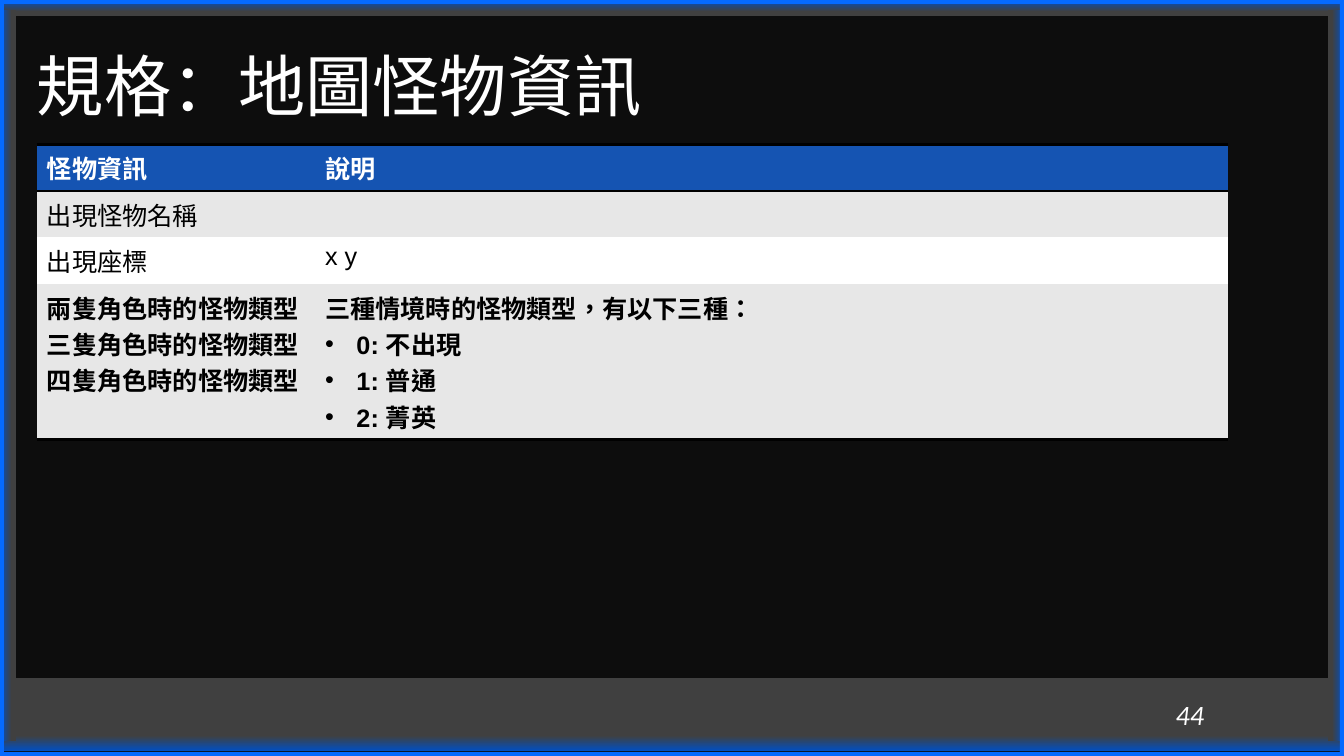
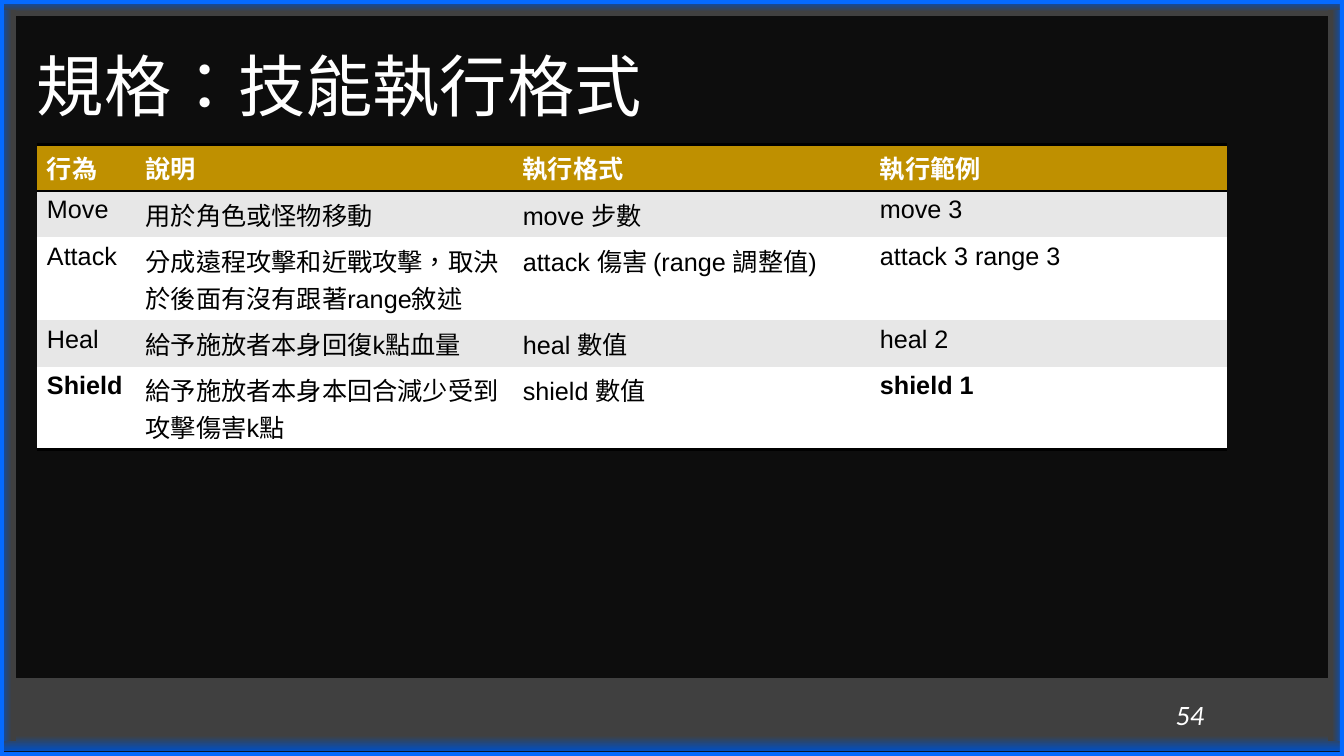
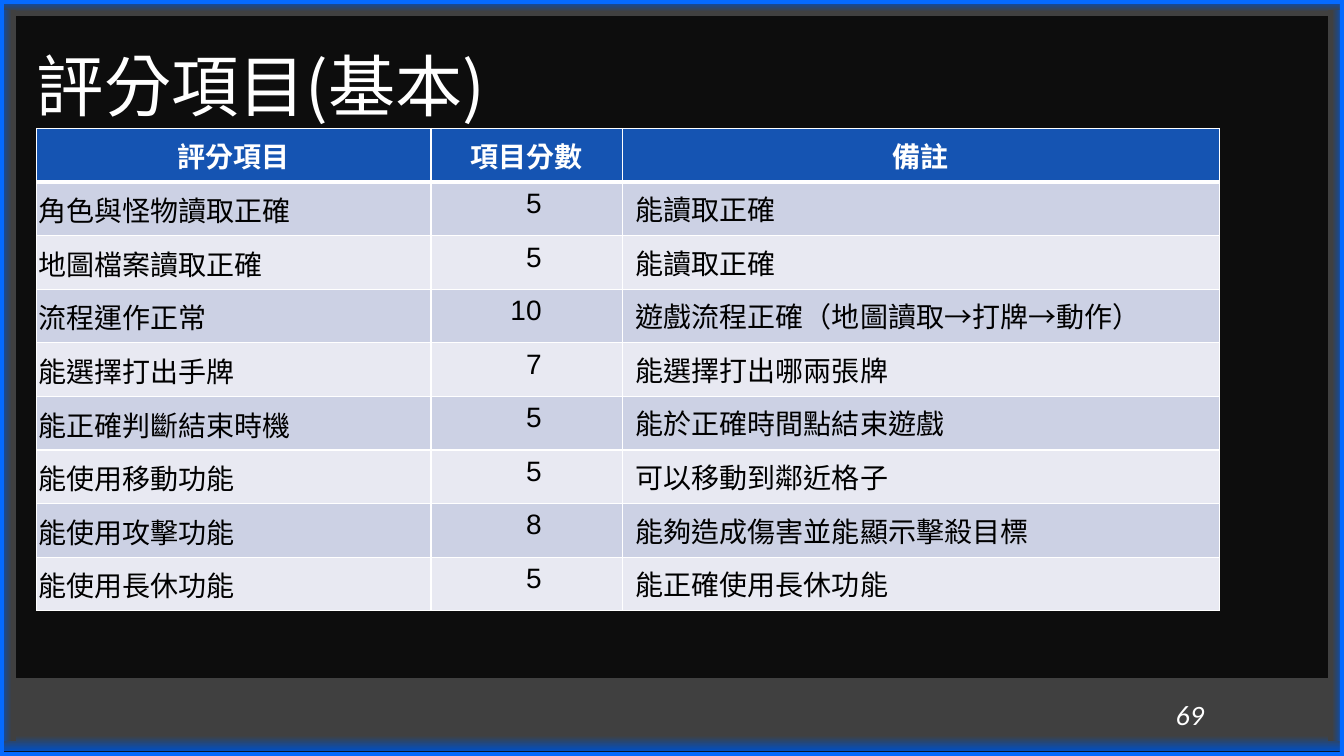
from lxml.etree import SubElement
from pptx import Presentation
from pptx.dml.color import RGBColor
from pptx.enum.lang import MSO_LANGUAGE_ID as Language
from pptx.enum.shapes import MSO_SHAPE as Shape
from pptx.enum.text import MSO_ANCHOR as Anchor, PP_ALIGN as Align
from pptx.oxml.ns import qn
from pptx.util import Cm, Pt

COLOURS = {
    "background": "0D0D0D", "glow": "004FC3", "band": "404040", "frame": "056AFF",
    "white": "FFFFFF", "black": "000000", "blue": "1554B2", "gold": "BF9000",
    "grey": "E7E7E7", "lavender": "CCD1E4", "mist": "E8E9F2",
}
CJK_FONT = "Noto Sans CJK SC"
NO_GRID_STYLE = "{2D5ABB26-0587-4C30-8999-92F81FD0307C}"
WIDTH, HEIGHT = 33.87, 19.05
FRAME_WIDTH = 0.1
LEFT = 0.93
LINE_HEIGHT = 0.92

# left, top, width, height, end of the glow, direction of the glow
BANDS = [
    (0, 17.08, WIDTH, 1.85, 0.21, 90),
    (0, 0, WIDTH, 0.41, 0.72, 270),
    (0, 0.25, 0.41, 18.42, 0.72, 0),
    (33.46, 0.25, 0.41, 18.42, 0.72, 180),
]

# side: colour and width in points
BLACK_RULES = {
    "header": {"T": ("black", 2), "B": ("black", 2)},
    "body": {},
    "last": {"B": ("black", 2)},
}
WHITE_LINE = ("white", 1)
WHITE_ROW = {"L": WHITE_LINE, "R": WHITE_LINE, "B": WHITE_LINE}
WHITE_GRID = {
    "header": {"L": WHITE_LINE, "R": WHITE_LINE, "T": WHITE_LINE, "B": ("white", 3)},
    "body": WHITE_ROW,
    "last": WHITE_ROW,
}

SLIDES = [
    {
        "number": "44", "title": "規格：地圖怪物資訊",
        "title_language": Language.SIMPLIFIED_CHINESE,
        "top": 3.64, "columns": [7.01, 23.01], "row_height": 1.17, "size": 18,
        "header": "blue", "stripes": ["grey", "white"], "borders": BLACK_RULES,
        "bold": {(3, 0), (3, 1)}, "line_counts": [1, 1, 1, 4],
        "rows": [
            ["怪物資訊", "說明"],
            ["出現怪物名稱", ""],
            ["出現座標", "x y"],
            ["兩隻角色時的怪物類型\v三隻角色時的怪物類型\v四隻角色時的怪物類型",
             "三種情境時的怪物類型，有以下三種：\n0: 不出現\n1: 普通\n2: 菁英"],
        ],
    },
    {
        "number": "54", "title": "規格：技能執行格式",
        "title_language": Language.TRADITIONAL_CHINESE,
        "top": 3.64, "columns": [2.49, 9.5, 9, 9], "row_height": 1.17, "size": 18,
        "header": "gold", "stripes": ["grey", "white"], "borders": BLACK_RULES,
        "bold": {(4, 0), (4, 3)}, "line_counts": [1, 1, 2, 1, 2],
        "rows": [
            ["行為", "說明", "執行格式", "執行範例"],
            ["Move", "用於角色或怪物移動", "move 步數", "move 3"],
            ["Attack", "分成遠程攻擊和近戰攻擊，取決於後面有沒有跟著range敘述",
             "attack 傷害 (range 調整值)", "attack 3 range 3"],
            ["Heal", "給予施放者本身回復k點血量", "heal 數值", "heal 2"],
            ["Shield", "給予施放者本身本回合減少受到攻擊傷害k點", "shield 數值", "shield 1"],
        ],
    },
    {
        "number": "69", "title": "評分項目(基本)",
        "title_language": Language.TRADITIONAL_CHINESE,
        "top": 3.24, "columns": [9.93, 4.83, 15.04], "row_height": 1.35, "size": 20,
        "header": "blue", "stripes": ["lavender", "mist"], "borders": WHITE_GRID,
        "bold": set(), "line_counts": [1] * 9,
        "rows": [
            ["評分項目", "項目分數", "備註"],
            ["角色與怪物讀取正確", "5", "能讀取正確"],
            ["地圖檔案讀取正確", "5", "能讀取正確"],
            ["流程運作正常", "10", "遊戲流程正確（地圖讀取→打牌→動作）"],
            ["能選擇打出手牌", "7", "能選擇打出哪兩張牌"],
            ["能正確判斷結束時機", "5", "能於正確時間點結束遊戲"],
            ["能使用移動功能", "5", "可以移動到鄰近格子"],
            ["能使用攻擊功能", "8", "能夠造成傷害並能顯示擊殺目標"],
            ["能使用長休功能", "5", "能正確使用長休功能"],
        ],
    },
]


def rgb(name):
    return RGBColor.from_string(COLOURS[name])


def style_text(text_frame, font_name, size, colour, bold=False, italic=False,
               language=Language.TRADITIONAL_CHINESE):
    """Format every run, with the shared font for East Asian characters."""
    for paragraph in text_frame.paragraphs:
        for run in paragraph.runs:
            font = run.font
            font.name, font.size = font_name, Pt(size)
            font.bold, font.italic = bold, italic
            font.color.rgb = rgb(colour)
            font.language_id = language
            SubElement(run._r.get_or_add_rPr(), qn("a:ea"), typeface=CJK_FONT)


presentation = Presentation()
presentation.slide_width, presentation.slide_height = Cm(WIDTH), Cm(HEIGHT)

for content in SLIDES:
    slide = presentation.slides.add_slide(presentation.slide_layouts[6])
    slide.background.fill.solid()
    slide.background.fill.fore_color.rgb = rgb("background")

    # Bands and frame around the slide
    bands = []
    for left, top, width, height, glow_end, direction in BANDS:
        band = slide.shapes.add_shape(Shape.RECTANGLE, Cm(left), Cm(top), Cm(width), Cm(height))
        band.shadow.inherit = False
        band.line.fill.background()
        band.fill.gradient()
        band.fill.gradient_angle = direction
        glow, plain = band.fill.gradient_stops
        glow.color.rgb, glow.position = rgb("glow"), 0
        plain.color.rgb, plain.position = rgb("band"), glow_end
        bands.append(band)

    frame = slide.shapes.add_shape(Shape.FRAME, 0, 0, Cm(WIDTH), Cm(HEIGHT))
    frame.adjustments[0] = FRAME_WIDTH / HEIGHT
    frame.shadow.inherit = False
    frame.line.fill.background()
    frame.fill.solid()
    frame.fill.fore_color.rgb = rgb("frame")

    # Slide number in the bottom band
    footer = bands[0].text_frame
    footer.text = content["number"]
    footer.margin_left = Cm(29.63)
    footer.vertical_anchor = Anchor.MIDDLE
    footer.paragraphs[0].alignment = Align.LEFT
    style_text(footer, "Calibri", 20, "white", italic=True)

    # Title
    title = slide.shapes.add_textbox(Cm(LEFT), Cm(0.89), Cm(31.5), Cm(2.74)).text_frame
    title.text = content["title"]
    title.word_wrap = True
    title.vertical_anchor = Anchor.MIDDLE
    title.margin_left = title.margin_right = title.margin_top = title.margin_bottom = 0
    title.paragraphs[0].line_spacing = 0.9
    style_text(title, CJK_FONT, 48, "white", language=content["title_language"])

    # Table
    rows, columns = content["rows"], content["columns"]
    row_heights = [content["row_height"] + LINE_HEIGHT * (count - 1)
                   for count in content["line_counts"]]
    table = slide.shapes.add_table(
        len(rows), len(columns), Cm(LEFT), Cm(content["top"]),
        Cm(sum(columns)), Cm(sum(row_heights))).table
    table._tbl.tblPr.find(qn("a:tableStyleId")).text = NO_GRID_STYLE
    table.horz_banding = False
    for column, width in zip(table.columns, columns):
        column.width = Cm(width)

    for row_index, texts in enumerate(rows):
        table.rows[row_index].height = Cm(row_heights[row_index])
        is_header = row_index == 0
        if is_header:
            part, fill, colour = "header", content["header"], "white"
        else:
            part = "last" if row_index == len(rows) - 1 else "body"
            fill, colour = content["stripes"][(row_index - 1) % 2], "black"

        for column_index, text in enumerate(texts):
            cell = table.cell(row_index, column_index)
            cell.text_frame.text = text
            bold = is_header or (row_index, column_index) in content["bold"]
            style_text(cell.text_frame, "Arial", content["size"], colour, bold)

            for side, (line_colour, points) in content["borders"][part].items():
                line = SubElement(cell._tc.get_or_add_tcPr(), qn("a:ln" + side), w=str(Pt(points)))
                line_fill = SubElement(line, qn("a:solidFill"))
                SubElement(line_fill, qn("a:srgbClr"), val=COLOURS[line_colour])
            cell.fill.solid()
            cell.fill.fore_color.rgb = rgb(fill)

            # Lines after the first in a cell are bulleted
            for paragraph in cell.text_frame.paragraphs[1:]:
                properties = paragraph._p.get_or_add_pPr()
                properties.set("marL", str(Cm(0.79)))
                properties.set("indent", str(-Cm(0.79)))
                SubElement(properties, qn("a:buFont"), typeface="Arial")
                SubElement(properties, qn("a:buChar"), char="•")

            # The score table has its own margins and alignment
            if content["borders"] is WHITE_GRID:
                cell.margin_left = cell.margin_right = Cm(0.33)
                cell.margin_top = cell.margin_bottom = Cm(0.15)
                paragraph = cell.text_frame.paragraphs[0]
                if is_header:
                    paragraph.alignment = Align.CENTER
                elif column_index == 0:
                    cell.vertical_anchor = Anchor.MIDDLE
                    cell.margin_left = cell.margin_right = cell.margin_top = Cm(0.03)
                    cell.margin_bottom = 0
                elif column_index == 1:
                    paragraph.alignment = Align.RIGHT
                    cell.margin_right = Cm(2.04)

presentation.save("out.pptx")
